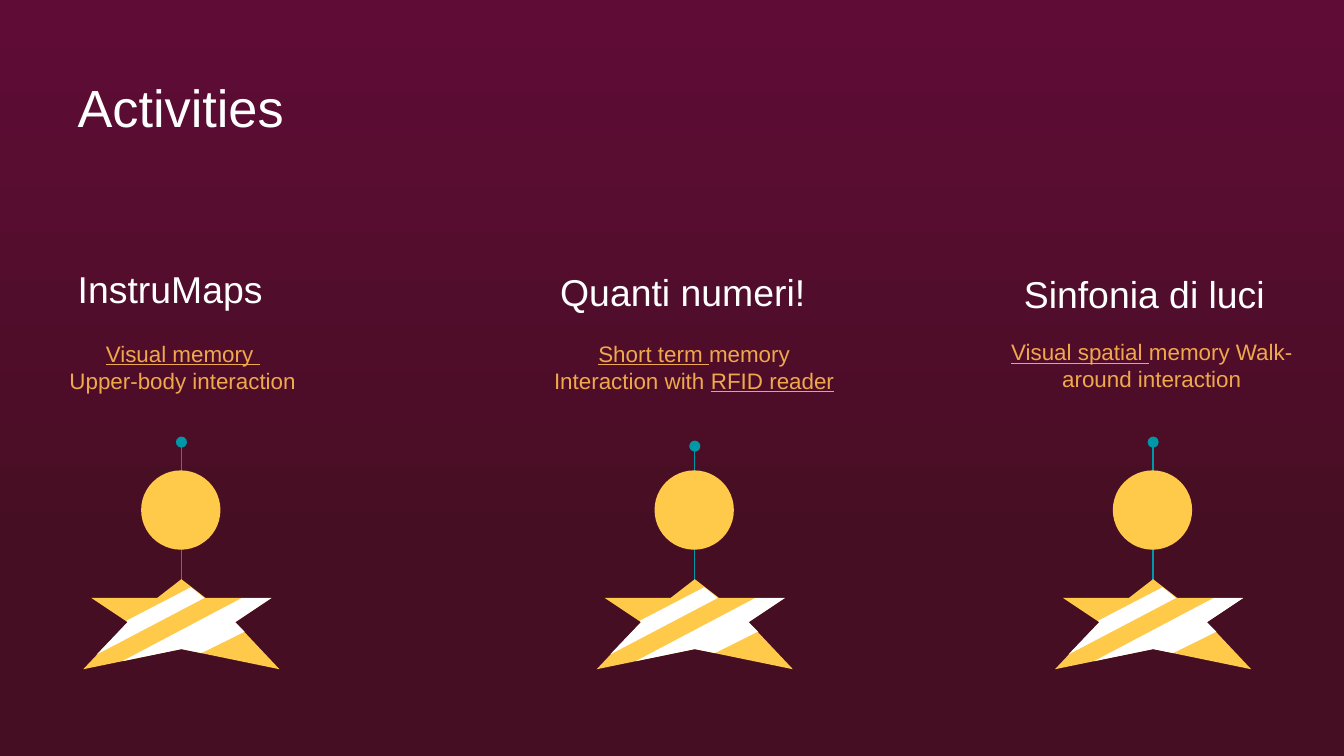
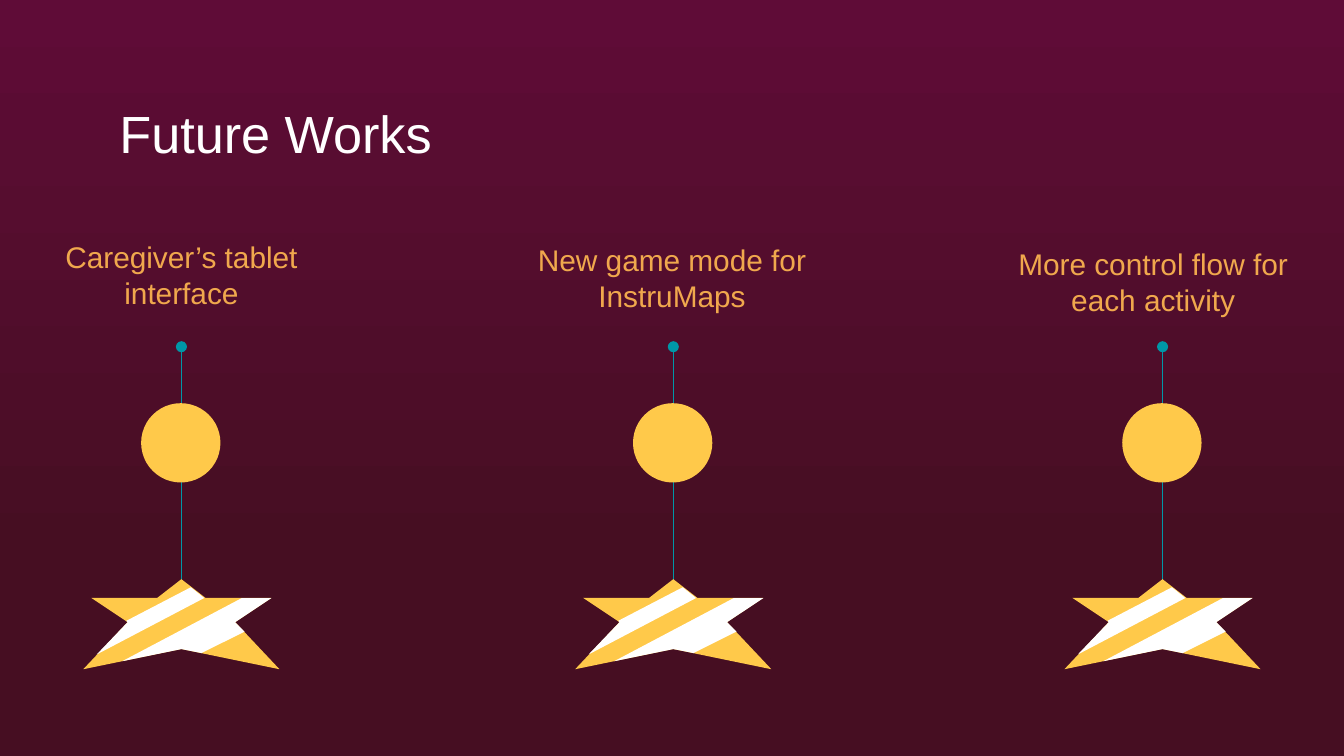
from lxml.etree import SubElement
from pptx import Presentation
from pptx.dml.color import RGBColor
from pptx.enum.shapes import MSO_CONNECTOR, MSO_SHAPE
from pptx.enum.text import MSO_ANCHOR, MSO_AUTO_SIZE, PP_ALIGN
from pptx.oxml.ns import qn
from pptx.util import Pt

PX = 9144  # 100 px to the inch
WINE, DARK = "5F0C37", "460E22"
WHITE, GOLD, AMBER, TEAL = "FFFFFF", "FFC94A", "F0A84D", "0097A7"
FONT = "Arial"

# Star outline and its two stripes: x from the centre line, y on the slide
STAR = [(0, 431), (-18, 445), (-67, 445), (-40, 463), (-73, 498),
        (0, 483), (73, 498), (40, 463), (67, 445), (18, 445)]
WIDE = [(45, 445), (-44, 492), (0, 483), (15, 486), (47, 470),
        (40, 463), (67, 445)]
THIN = [(7, 437), (-41, 462), (-40, 463), (-63, 487), (17, 445)]


def color(code):
    return RGBColor.from_string(code)


def px(*nums):
    return [num * PX for num in nums]


def paint(shape, code):
    shape.shadow.inherit = False
    shape.fill.solid()
    shape.fill.fore_color.rgb = color(code)
    shape.line.fill.background()


def add_text(slide, box, text, size, code=WHITE, align=PP_ALIGN.LEFT,
             anchor=MSO_ANCHOR.TOP, pad=10, grow=False):
    """Add a text box; the parts of text between underscores are underlined."""
    frame = slide.shapes.add_textbox(*px(*box)).text_frame
    frame.word_wrap = True
    frame.vertical_anchor = anchor
    frame.auto_size = (MSO_AUTO_SIZE.SHAPE_TO_FIT_TEXT if grow
                       else MSO_AUTO_SIZE.NONE)
    frame.margin_left = frame.margin_right = 10 * PX
    frame.margin_top = frame.margin_bottom = pad * PX
    for row, line in enumerate(text.split("\n")):
        para = frame.add_paragraph() if row else frame.paragraphs[0]
        para.alignment = align
        for part, words in enumerate(line.split("_")):
            if not words:
                continue
            run = para.add_run()
            run.text = words
            font = run.font
            font.name, font.size = FONT, Pt(size)
            font.color.rgb = color(code)
            font.underline = part % 2 == 1


def add_stem(slide, x, top, end):
    """Add a thin upright line with a dot at each end."""
    stem = slide.shapes.add_connector(MSO_CONNECTOR.STRAIGHT,
                                      *px(x, top, x, end))
    stem.line.color.rgb = color(TEAL)
    stem.line.width = Pt(0.75)
    line = stem._element.spPr.find(qn("a:ln"))
    for tag in ("a:headEnd", "a:tailEnd"):
        SubElement(line, qn(tag), type="oval")
    SubElement(stem._element.spPr, qn("a:effectLst"))


def add_disc(slide, x, top):
    disc = slide.shapes.add_shape(MSO_SHAPE.OVAL, *px(x - 30, top, 59, 59))
    paint(disc, GOLD)


def add_star(slide, x):
    group = slide.shapes.add_group_shape()
    for shape, code in ((STAR, GOLD), (WIDE, WHITE), (THIN, WHITE)):
        first, *rest = [(x + dx, y) for dx, y in shape]
        pen = group.shapes.build_freeform(*first, scale=PX)
        pen.add_line_segments(rest, close=True)
        paint(pen.convert_to_shape(), code)


def add_lamp(slide, x, top, end, disc):
    add_stem(slide, x, top, end)
    add_disc(slide, x, disc)
    add_star(slide, x)


def new_slide(deck, title, left, top):
    slide = deck.slides.add_slide(deck.slide_layouts[6])
    fill = slide.background.fill
    fill.gradient()
    fill.gradient_angle = 270
    for stop, spot, code in zip(fill.gradient_stops, (0, 0.74), (WINE, DARK)):
        stop.position = spot
        stop.color.rgb = color(code)
    add_text(slide, (left, top, 848, 63), title, 28)
    return slide


def add_tasks(deck):
    slide = new_slide(deck, "Activities", 48, 46)
    tasks = [
        (135, 329, "InstruMaps", (48, 188),
         "_Visual memory _\nUpper-body interaction", (20, 248, 232, 71)),
        (517, 332, "Quanti numeri!", (407, 190),
         "_Short term _memory\nInteraction with _RFID reader_",
         (378, 248, 277, 71)),
        (858, 329, "Sinfonia di luci", (752, 192),
         "_Visual spatial _memory Walk-around interaction",
         (741, 247, 232, 71)),
    ]
    for x, top, name, spot, note, box in tasks:
        add_lamp(slide, x, top, top + 114, 350)
        add_text(slide, (*spot, 344, 75), name, 20)
        add_text(slide, box, note, 12, code=AMBER, align=PP_ALIGN.CENTER,
                 pad=5, grow=True)


def add_plans(deck):
    slide = new_slide(deck, "Future Works", 79, 65)
    plans = [
        (135, "Caregiver’s tablet interface", 19, 147),
        (501, "New game mode for InstruMaps", 384, 149),
        (865, "More control flow for each activity", 742, 152),
    ]
    for x, plan, left, top in plans:
        add_lamp(slide, x, 258, 443, 300)
        add_text(slide, (left, top, 232, 94), plan, 16, code=AMBER,
                 align=PP_ALIGN.CENTER, anchor=MSO_ANCHOR.BOTTOM)


def main():
    deck = Presentation()
    deck.slide_width = 1000 * PX
    deck.slide_height = deck.slide_width * 9 // 16
    add_tasks(deck)
    add_plans(deck)
    deck.save("out.pptx")


if __name__ == "__main__":
    main()
